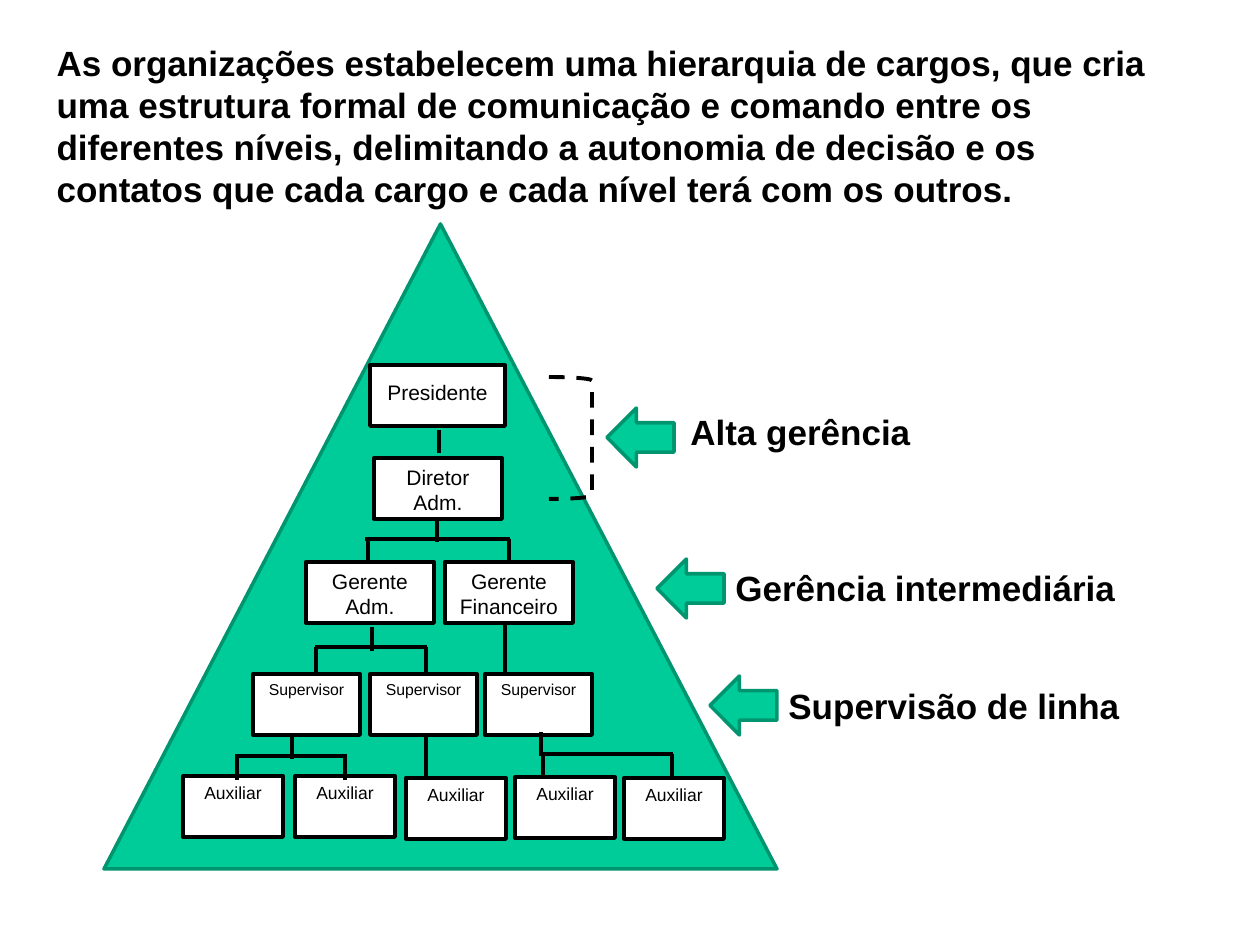
from lxml import etree
from pptx import Presentation
from pptx import util as u
from pptx.dml.color import RGBColor
from pptx.enum import dml, shapes, text
from pptx.oxml.ns import qn

SCALE = 914400 // 126
GREEN, DARK_GREEN, BLACK, WHITE = "00CC99", "00956F", "000000", "FFFFFF"
HEADING = {"name": "Arial", "size": u.Pt(20), "bold": True}

INTRO = (
    "As organizações estabelecem uma hierarquia de cargos, que cria uma "
    "estrutura formal de comunicação e comando entre os diferentes níveis, "
    "delimitando a autonomia de decisão e os contatos que cada cargo e cada "
    "nível terá com os outros."
)

ROWS = [
    (365, 135, 12, [(370, 365, "Presidente")]),
    (458, 128, 12, [(374, 458, "Diretor Adm.")]),
    (562, 128, 12, [(306, 562, "Gerente\nAdm."), (445, 562, "Gerente Financeiro")]),
    (674, 107, 9, [(x, 674, "Supervisor") for x in (253, 370, 485)]),
    (777, 100, 10, [(x, y, "Auxiliar") for x, y in
                    ((183, 776), (295, 776), (406, 778), (515, 777), (624, 778))]),
]

STEMS = [(439, 430, 453), (505, 622, 672), (426, 736, 777)]

BRANCHES = [
    (437, 519, 542, 539, 365, 510, (368, 509), 562),
    (372, 627, 651, 647, 315, 427, (316, 426), 672),
    (292, 736, 759, 756, 235, 347, (237, 345), 780),
    (541, 732, 756, 754, 541, 673, (543, 672), 778),
]

LEVELS = [
    ("Alta gerência", 607, 408, 678, 404, 317),
    ("Gerência intermediária", 657, 559, 723, 560, 464),
    ("Supervisão de linha", 710, 676, 776, 678, 469),
]


def px(*values):
    return [u.Emu(value * SCALE) for value in values]


def colour(code):
    return RGBColor.from_string(code)


def set_format(target, values):
    for name, value in values.items():
        setattr(target, name, value)


def write(shape, content, font, align):
    frame = shape.text_frame
    set_format(frame, {"word_wrap": True, "auto_size": text.MSO_AUTO_SIZE.NONE,
                       "vertical_anchor": text.MSO_ANCHOR.TOP})
    frame.text = content
    for para in frame.paragraphs:
        para.alignment = align
        for span in para.runs:
            set_format(span.font, font)
            span.font.color.rgb = colour(BLACK)


def add_preset(page, kind, place, fill, line, width):
    shape = page.shapes.add_shape(kind, *px(*place))
    shape.shadow.inherit = False
    if fill:
        shape.fill.solid()
        shape.fill.fore_color.rgb = colour(fill)
    else:
        shape.fill.background()
    shape.line.color.rgb = colour(line)
    shape.line.width = u.Pt(width)
    return shape


def add_post(page, place, label, size):
    box = add_preset(page, shapes.MSO_SHAPE.RECTANGLE, place, WHITE, BLACK, 2.25)
    write(box, label, {"name": "Arial", "size": u.Pt(size)}, text.PP_ALIGN.CENTER)
    return box


def add_line(page, *ends):
    line = page.shapes.add_connector(shapes.MSO_CONNECTOR.STRAIGHT, *px(*ends))
    line.line.color.rgb = colour(BLACK)
    line.line.width = u.Pt(2.25)
    etree.SubElement(line._element.spPr, qn("a:effectLst"))


def add_branch(page, stem, top, stem_end, bar, left, right, drops, bottom):
    add_line(page, stem, top, stem, stem_end)
    add_line(page, left, bar, right, bar)
    for drop in drops:
        add_line(page, drop, bar, drop, bottom)


def add_level(page, label, arrow_x, arrow_y, text_x, text_y, width):
    add_preset(page, shapes.MSO_SHAPE.LEFT_ARROW, (arrow_x, arrow_y, 67, 59),
               GREEN, DARK_GREEN, 2)
    box = page.shapes.add_textbox(*px(text_x, text_y, width, 54))
    write(box, label, HEADING, text.PP_ALIGN.LEFT)


def add_title(page):
    title = page.shapes.title
    places = px(44, 35, 1160, 181)
    set_format(title, dict(zip(("left", "top", "width", "height"), places)))
    write(title, INTRO, HEADING, text.PP_ALIGN.LEFT)


def main():
    deck = Presentation()
    deck.slide_width, deck.slide_height = px(1260, 945)
    page = deck.slides.add_slide(deck.slide_layouts[5])
    add_title(page)
    add_preset(page, shapes.MSO_SHAPE.ISOSCELES_TRIANGLE, (104, 224, 673, 645),
               GREEN, DARK_GREEN, 2)
    for _, width, size, posts in ROWS:
        for x, y, label in posts:
            box = add_post(page, (x, y, width, 61), label, size)
            if label == "Presidente":
                box.text_frame.margin_top = px(15)[0]
    for x, top, bottom in STEMS:
        add_line(page, x, top, x, bottom)
    for branch in BRANCHES:
        add_branch(page, *branch)
    for level in LEVELS:
        add_level(page, *level)
    bracket = add_preset(page, shapes.MSO_SHAPE.RIGHT_BRACKET, (549, 377, 43, 122),
                         None, BLACK, 2.25)
    bracket.line.dash_style = dml.MSO_LINE.DASH
    deck.save("out.pptx")


if __name__ == "__main__":
    main()
